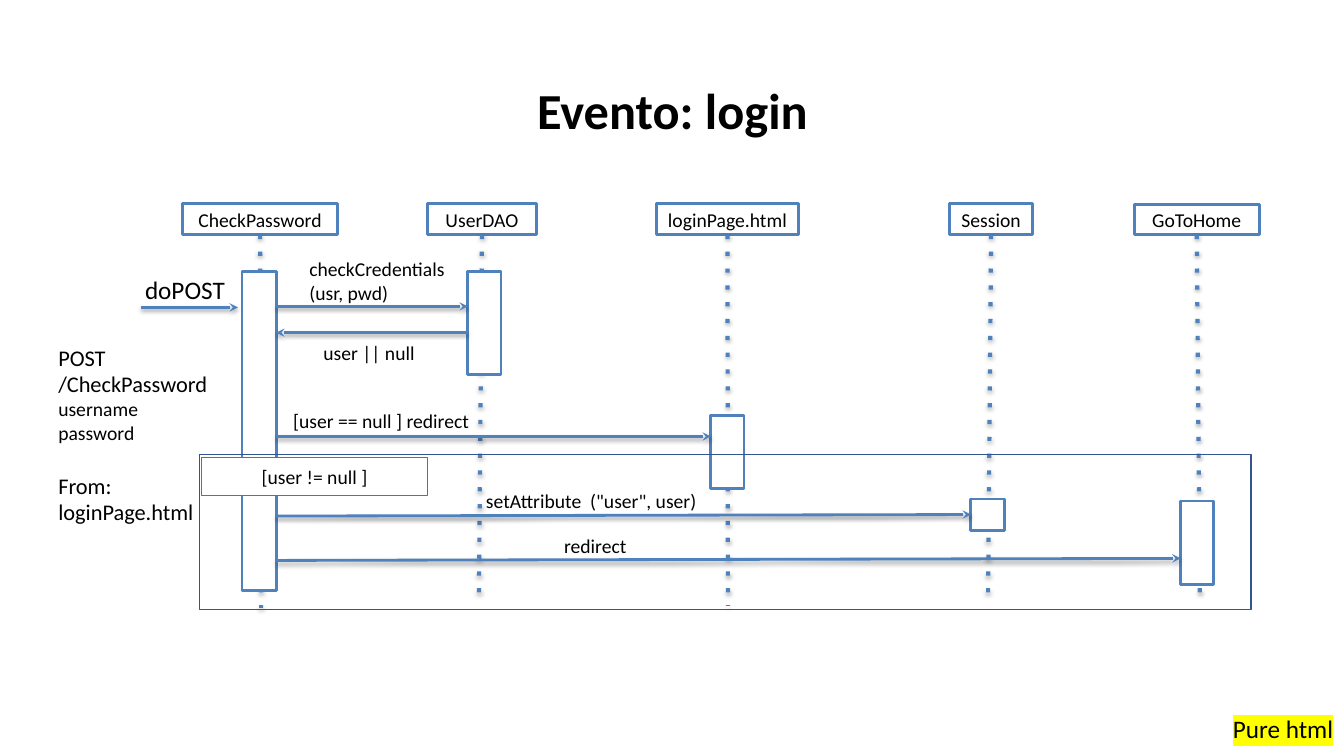
from lxml import etree
from pptx import Presentation, util as u
from pptx.dml.color import RGBColor
from pptx.enum import shapes, text
from pptx.oxml import ns

COLORS = {"ink": "000000", "paper": "FFFFFF", "blue": "4F81BD",
          "guard": "4472C4", "frame": "325491", "mark": "FFFF00"}
LEFT, CENTER = text.PP_ALIGN.LEFT, text.PP_ALIGN.CENTER
TOP, MIDDLE = text.MSO_ANCHOR.TOP, text.MSO_ANCHOR.MIDDLE

deck = Presentation()
deck.slide_width, deck.slide_height = u.Inches(13.33), u.Inches(7.5)
slide = deck.slides.add_slide(deck.slide_layouts[6])


def block(at, lines=(), align=LEFT, anchor=TOP, line=None, width=2, fill="paper"):
    place = [u.Inches(n) for n in at]
    if line:
        item = slide.shapes.add_shape(shapes.MSO_SHAPE.RECTANGLE, *place)
        item.shadow.inherit = False
        item.line.color.rgb = RGBColor.from_string(COLORS[line])
        item.line.width = u.Pt(width)
        if fill:
            item.fill.solid()
            item.fill.fore_color.rgb = RGBColor.from_string(COLORS[fill])
        else:
            item.fill.background()
    else:
        item = slide.shapes.add_textbox(*place)
    frame = item.text_frame
    frame.word_wrap = True
    frame.vertical_anchor = anchor
    for i, (words, size) in enumerate(lines):
        para = frame.add_paragraph() if i else frame.paragraphs[0]
        para.alignment = align
        run = para.add_run()
        run.text = words
        run.font.name = "Calibri"
        run.font.size = u.Pt(size)
        run.font.color.rgb = RGBColor.from_string(COLORS["ink"])
    return item


def link(start, end, width, decoration, value, opacity, distance):
    wire = slide.shapes.add_connector(
        shapes.MSO_CONNECTOR.STRAIGHT, *[u.Inches(n) for n in (*start, *end)])
    wire.line.color.rgb = RGBColor.from_string(COLORS["blue"])
    wire.line.width = u.Pt(width)
    props = wire.line._get_or_add_ln()
    key = "val" if decoration == "a:prstDash" else "type"
    etree.SubElement(props, ns.qn(decoration)).set(key, value)
    effects = etree.SubElement(wire._element.spPr, ns.qn("a:effectLst"))
    shadow = etree.SubElement(effects, ns.qn("a:outerShdw"), blurRad=str(u.Pt(3.1)),
                              dist=str(u.Pt(distance)), dir="5400000", rotWithShape="0")
    tone = etree.SubElement(shadow, ns.qn("a:srgbClr"), val=COLORS["ink"])
    etree.SubElement(tone, ns.qn("a:alpha"), val=str(opacity * 1000))
    return wire


title = block((0.92, 0.4, 11.5, 1.45), [("Evento: login", 36)], CENTER, MIDDLE)
heading = title.text_frame.paragraphs[0]
heading.line_spacing = 0.9
heading.runs[0].font.bold = True

participants = [
    ("CheckPassword", (1.81, 2.02, 1.54, 0.31), (2.59, 6.03), (2.4, 2.69, 0.34, 3.17)),
    ("UserDAO", (4.24, 2.02, 1.08, 0.31), (4.75, 5.9), (4.64, 2.69, 0.33, 1.03)),
    ("loginPage.html", (6.51, 2.02, 1.41, 0.31), (7.22, 6.01), (7.05, 4.12, 0.33, 0.73)),
    ("Session", (9.42, 2.02, 0.82, 0.31), (9.8, 5.89), (9.63, 4.95, 0.33, 0.31)),
    ("GoToHome", (11.25, 2.03, 1.24, 0.3), (11.9, 5.94), (11.71, 4.97, 0.33, 0.83)),
]
activations = {}
for name, head_at, foot, bar_at in participants:
    head = block(head_at, [(name, 14)], CENTER, MIDDLE, "blue")
    top = (head_at[0] + head_at[2] / 2, head_at[1] + head_at[3])
    lifeline = link(top, foot, 3, "a:prstDash", "dot", 35, 1.8)
    lifeline.begin_connect(head, 2)
    activations[name] = block(bar_at, line="blue")

messages = [
    ((1.4, 3.05), (2.36, 3.05), None),
    ((2.74, 3.04), (4.64, 3.04), None),
    ((4.64, 3.3), (2.74, 3.3), None),
    ((2.74, 4.33), (7.05, 4.33), None),
    ((2.74, 5.12), (9.63, 5.1), "Session"),
    ((2.74, 5.56), (11.71, 5.54), None),
]
for start, end, target in messages:
    arrow = link(start, end, 2, "a:tailEnd", "stealth", 38, 1.6)
    if target:
        arrow.end_connect(activations[target], 1)

labels = [
    ("doPOST", 18, (1.34, 2.67, 1, 0.3), LEFT),
    ("checkCredentials(usr, pwd)", 14, (2.97, 2.5, 1.57, 0.78), LEFT),
    ("user || null", 14, (3.11, 3.33, 1.24, 0.3), LEFT),
    ("[user == null ] redirect", 14, (2.62, 4.01, 2.32, 0.28), CENTER),
    ("setAttribute  (\"user\", user)", 14, (4.16, 4.8, 3.41, 0.63), CENTER),
    ("redirect", 14, (4.34, 5.25, 3.13, 0.28), CENTER),
]
for words, size, at, align in labels:
    block(at, [(words, size)], align)

request = block((0.48, 3.36, 1.73, 2.31), [
    ("POST", 16), ("/CheckPassword", 16), ("username", 14), ("password", 14),
    ("From: loginPage.html", 16)])
request.text_frame.paragraphs[-1].space_before = u.Pt(19.5)

block((2, 4.54, 2.24, 0.37), [("[user != null ]", 14)], CENTER, MIDDLE, "guard", 0.25)
block((1.98, 4.51, 10.43, 1.54), line="frame", width=1, fill=None)

page_kind = block((12.13, 7.03, 1.21, 0.4), [("Pure html", 18)])
page_kind.text_frame.word_wrap = False
run_props = page_kind.text_frame.paragraphs[0].runs[0].font._element
highlight = etree.Element(ns.qn("a:highlight"))
etree.SubElement(highlight, ns.qn("a:srgbClr"), val=COLORS["mark"])
run_props.find(ns.qn("a:solidFill")).addnext(highlight)

deck.save("out.pptx")
